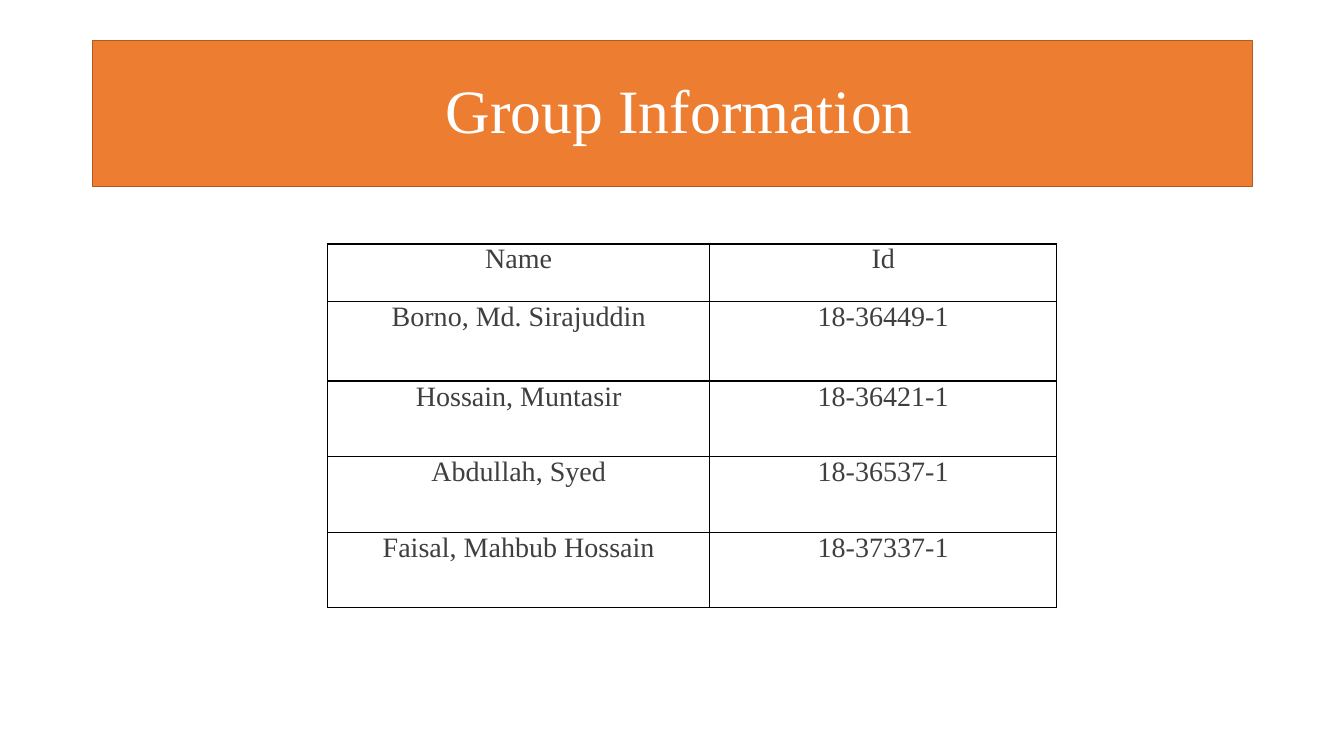
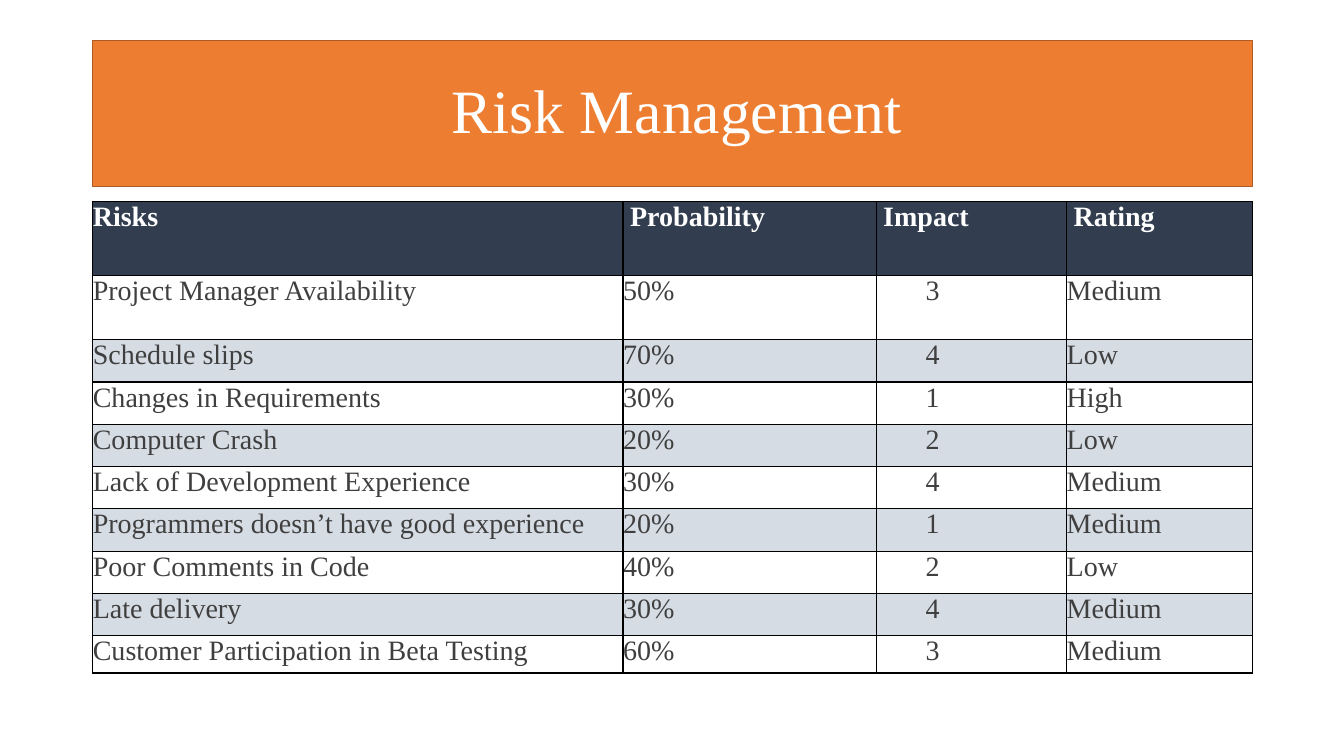
from dataclasses import dataclass

from lxml import etree
from pptx import Presentation
from pptx.dml.color import RGBColor
from pptx.enum import text
from pptx.oxml import ns
from pptx.util import Inches, Pt


@dataclass(frozen=True)
class Theme:
    font: str = "Times New Roman"
    title_size: int = 44
    table_size: int = 20
    band: str = "ED7D31"
    band_line: str = "AF5C24"
    white: str = "FFFFFF"
    ink: str = "3F3F3F"
    header: str = "323E4F"
    stripe: str = "D6DCE4"
    grid: str = "000000"
    left: float = 0.92
    width: float = 11.5


THEME = Theme()

MEMBERS = [
    ("Name", "Id"),
    ("Borno, Md. Sirajuddin", "18-36449-1"),
    ("Hossain, Muntasir", "18-36421-1"),
    ("Abdullah, Syed", "18-36537-1"),
    ("Faisal, Mahbub Hossain", "18-37337-1"),
]

RISKS = [
    ("Risks", "Probability", "Impact", "Rating"),
    ("Project Manager Availability", "50%", "3", "Medium"),
    ("Schedule slips", "70%", "4", "Low"),
    ("Changes in Requirements", "30%", "1", "High"),
    ("Computer Crash", "20%", "2", "Low"),
    ("Lack of Development Experience", "30%", "4", "Medium"),
    ("Programmers doesn’t have good experience", "20%", "1", "Medium"),
    ("Poor Comments in Code", "40%", "2", "Low"),
    ("Late delivery", "30%", "4", "Medium"),
    ("Customer Participation in Beta Testing", "60%", "3", "Medium"),
]


def rgb(value):
    return RGBColor.from_string(value)


def apply(target, formats):
    for name, value in formats.items():
        setattr(target, name, value)


def style_font(font, size, color, bold=False):
    apply(font, {"name": THEME.font, "size": Pt(size), "bold": bold})
    font.color.rgb = rgb(color)


def paint(shape_or_cell, color):
    shape_or_cell.fill.solid()
    shape_or_cell.fill.fore_color.rgb = rgb(color)


# Slide with the shared title band
def add_titled_slide(deck, heading, indent):
    slide = deck.slides.add_slide(deck.slide_layouts[5])
    band = slide.shapes.title
    apply(band, {"left": Inches(THEME.left), "top": Inches(0.4),
                 "width": Inches(THEME.width), "height": Inches(1.45)})
    paint(band, THEME.band)
    band.line.color.rgb = rgb(THEME.band_line)
    band.line.width = Pt(1)

    frame = band.text_frame
    frame.text = heading
    apply(frame, {"margin_left": Inches(indent), "word_wrap": True,
                  "auto_size": text.MSO_AUTO_SIZE.NONE,
                  "vertical_anchor": text.MSO_ANCHOR.MIDDLE})
    line = frame.paragraphs[0]
    apply(line, {"alignment": text.PP_ALIGN.LEFT, "line_spacing": 0.9})
    style_font(line.font, THEME.title_size, THEME.white)
    return slide


# Table parts
def add_borders(cell):
    properties = cell._tc.get_or_add_tcPr()
    for side in ("a:lnL", "a:lnR", "a:lnT", "a:lnB"):
        border = etree.SubElement(properties, ns.qn(side), w=str(Pt(1)))
        fill = etree.SubElement(border, ns.qn("a:solidFill"))
        etree.SubElement(fill, ns.qn("a:srgbClr"), val=THEME.grid)


def fill_cell(cell, content, fill, color, bold, align, left, right):
    add_borders(cell)
    paint(cell, fill)
    apply(cell, {"margin_left": Inches(left), "margin_right": Inches(right),
                 "margin_top": 0, "margin_bottom": 0})
    cell.text = content
    line = cell.text_frame.paragraphs[0]
    line.alignment = align
    style_font(line.font, THEME.table_size, color, bold)


def add_grid(slide, left, top, widths, heights):
    grid = slide.shapes.add_table(
        len(heights), len(widths), Inches(left), Inches(top),
        Inches(sum(widths)), Inches(sum(heights))).table
    apply(grid, {"first_row": False, "horz_banding": False})
    for column, width in zip(grid.columns, widths):
        column.width = Inches(width)
    for row, height in zip(grid.rows, heights):
        row.height = Inches(height)
    return grid


# Slide contents
def add_group_slide(deck):
    slide = add_titled_slide(deck, "Group Information", 3.5)
    members = add_grid(slide, 3.25, 2.42, [3.79, 3.44],
                       [0.57, 0.79] + [0.75] * 3)
    for r, member in enumerate(MEMBERS):
        for c, content in enumerate(member):
            fill_cell(members.cell(r, c), content, THEME.white, THEME.ink,
                      False, text.PP_ALIGN.CENTER, 0.07, 0.07)


def add_risk_slide(deck):
    slide = add_titled_slide(deck, "Risk Management", 3.56)
    risks = add_grid(slide, THEME.left, 2, [5.26, 2.51, 1.89, 1.84],
                     [0.73, 0.64] + [0.42] * 7 + [0.37])
    header_indents = (0, 0.07, 0.07, 0.07)
    body_indents = (0, 0, 0.49, 0)
    for r, risk in enumerate(RISKS):
        is_header = r == 0
        if is_header:
            fill, color, indents = THEME.header, THEME.white, header_indents
        else:
            fill = THEME.white if r % 2 else THEME.stripe
            color, indents = THEME.ink, body_indents
        for c, (content, indent) in enumerate(zip(risk, indents)):
            fill_cell(risks.cell(r, c), content, fill, color, is_header,
                      text.PP_ALIGN.LEFT, indent, 0)


def main():
    deck = Presentation()
    apply(deck, {"slide_width": Inches(13.33), "slide_height": Inches(7.5)})
    add_group_slide(deck)
    add_risk_slide(deck)
    deck.save("out.pptx")


if __name__ == "__main__":
    main()
